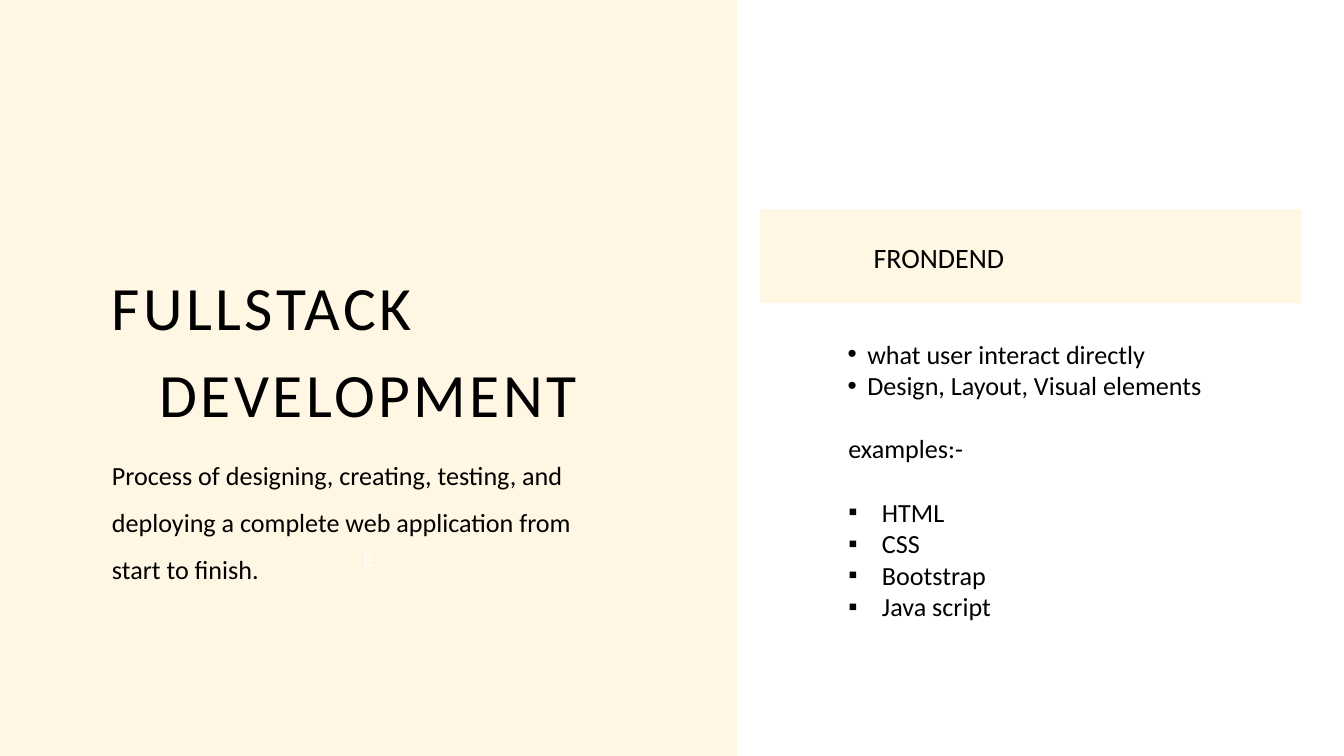
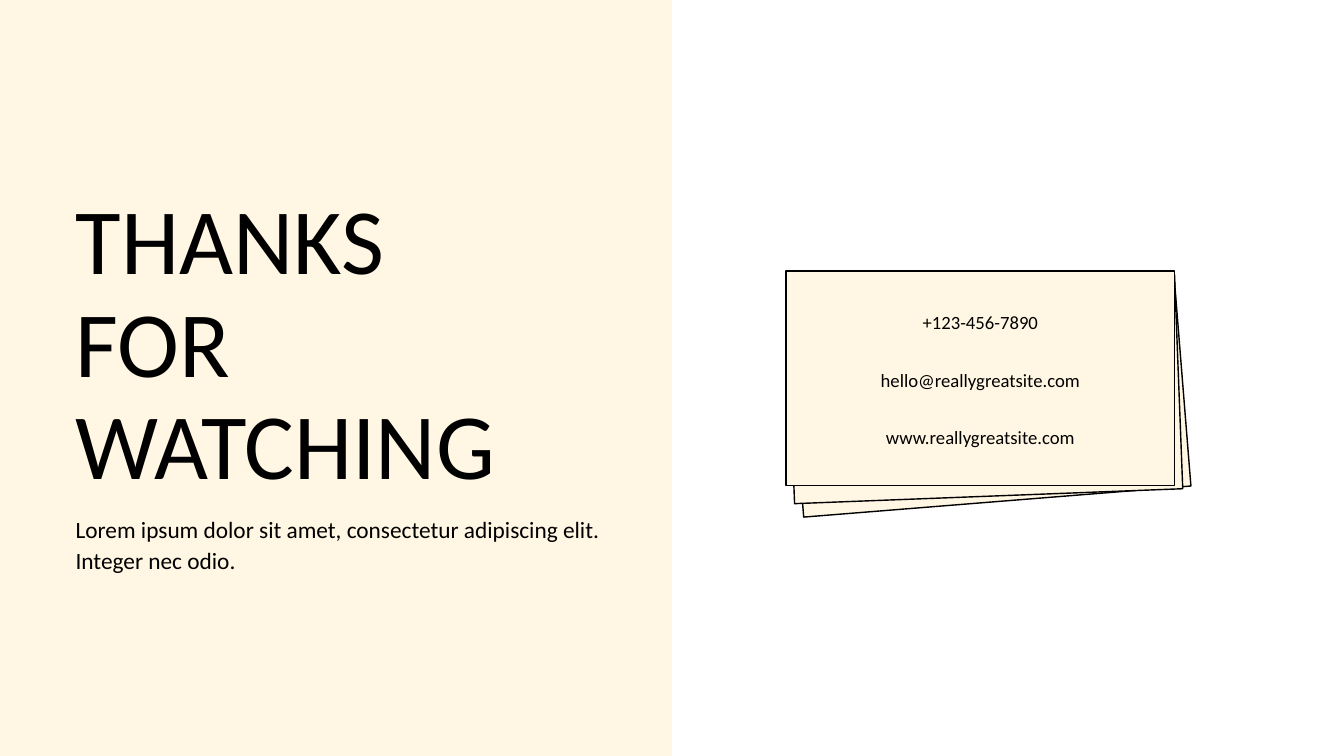
from lxml.etree import SubElement
from pptx import Presentation
from pptx.dml.color import RGBColor
from pptx.enum.shapes import MSO_SHAPE
from pptx.enum.text import PP_ALIGN
from pptx.oxml.ns import qn
from pptx.util import Pt

PX = 9525
WIDE, HIGH = 1920, 1080
CREAM = RGBColor(0xFF, 0xF6, 0xE3)
BLACK = RGBColor(0, 0, 0)
WHITE = RGBColor(0xFF, 0xFF, 0xFF)
FONT = "Calibri"


def scale(*sizes):
    return [round(size * PX) for size in sizes]


def add_rect(slide, box, edge=None, turn=0):
    rect = slide.shapes.add_shape(MSO_SHAPE.RECTANGLE, *scale(*box))
    rect.shadow.inherit = False
    rect.rotation = turn
    rect.fill.solid()
    rect.fill.fore_color.rgb = CREAM
    if edge is None:
        rect.line.fill.background()
    else:
        rect.line.color.rgb = edge
        rect.line.width = Pt(1.5)


def style_line(para, text, size, color=BLACK, lead=None, align=None,
               left=0, hang=0, mark=None, before=0, track=0):
    props = para._p.get_or_add_pPr()
    if left:
        props.set("marL", str(left * PX))
        props.set("indent", str(-hang * PX))
    if mark:
        SubElement(props, qn("a:buFont"), typeface="Arial")
        SubElement(props, qn("a:buChar"), char=mark)
    if lead:
        para.line_spacing = lead
    if before:
        para.space_before = before
    if align is not None:
        para.alignment = align
    run = para.add_run()
    run.text = text
    run.font.name = FONT
    run.font.size = Pt(size)
    run.font.color.rgb = color
    if track:
        run._r.get_or_add_rPr().set("spc", str(track))


def add_text(slide, box, lines, **style):
    frame = slide.shapes.add_textbox(*scale(*box)).text_frame
    frame.word_wrap = True
    frame.margin_left = frame.margin_right = 0
    frame.margin_top = frame.margin_bottom = 0
    for index, (text, extra) in enumerate(lines):
        para = frame.add_paragraph() if index else frame.paragraphs[0]
        style_line(para, text, **{**style, **extra})


def add_page(deck, split):
    slide = deck.slides.add_slide(deck.slide_layouts[6])
    slide.background.fill.solid()
    slide.background.fill.fore_color.rgb = WHITE
    add_rect(slide, (0, 0, split, HIGH))
    return slide


def build_stack(deck):
    slide = add_page(deck, 1053)
    add_rect(slide, (1086, 299, 773, 134))
    add_text(slide, (1248, 336, 404, 53), [("FRONDEND", {})],
             size=30, lead=Pt(42))
    lead = Pt(33.8)
    dot = dict(left=55, hang=28, mark="•")
    square = dict(left=76, hang=48, mark="▪")
    lines = [("what user interact directly", dot),
             ("Design, Layout, Visual elements", dot),
             ("examples:-", dict(left=28, before=lead)),
             ("HTML", {**square, "before": lead})]
    lines += [(name, square) for name in ("CSS", "Bootstrap", "Java script")]
    add_text(slide, (1184, 483, 576, 456), lines, size=28, lead=lead)
    add_text(slide, (134, 366, 784, 243),
             [("FULLSTACK", dict(left=25)),
              ("DEVELOPMENT", dict(align=PP_ALIGN.CENTER))],
             size=66, lead=Pt(92.8), track=380)
    add_text(slide, (519, 783, 30, 32), [("E", {})], size=20, color=WHITE)
    add_text(slide, (160, 634, 716, 239),
             [("Process of designing, creating, testing, and deploying "
               "a complete web application from start to finish.", {})],
             size=28, lead=1.5)


def build_thanks(deck):
    slide = add_page(deck, 960)
    for left, top, turn in ((1135, 410, -4.6), (1129, 402, -2.2),
                            (1123, 387, 0)):
        add_rect(slide, (left, top, 555, 307), edge=BLACK, turn=turn)
    contacts = ("+123-456-7890", "hello@reallygreatsite.com",
                "www.reallygreatsite.com")
    for row, contact in enumerate(contacts):
        add_text(slide, (1201, 439 + row * 82, 399, 36), [(contact, {})],
                 size=20, lead=Pt(28), align=PP_ALIGN.CENTER)
    add_text(slide, (108, 272, 834, 442),
             [("THANKS", {}), ("FOR WATCHING", {})],
             size=100, lead=Pt(110))
    add_text(slide, (108, 733, 763, 85),
             [("Lorem ipsum dolor sit amet, consectetur adipiscing elit. "
               "Integer nec odio.", {})], size=25, lead=Pt(32.5))


def main():
    """Build the two slides and save them."""
    deck = Presentation()
    deck.slide_width, deck.slide_height = scale(WIDE, HIGH)
    build_stack(deck)
    build_thanks(deck)
    deck.save("out.pptx")


if __name__ == "__main__":
    main()
